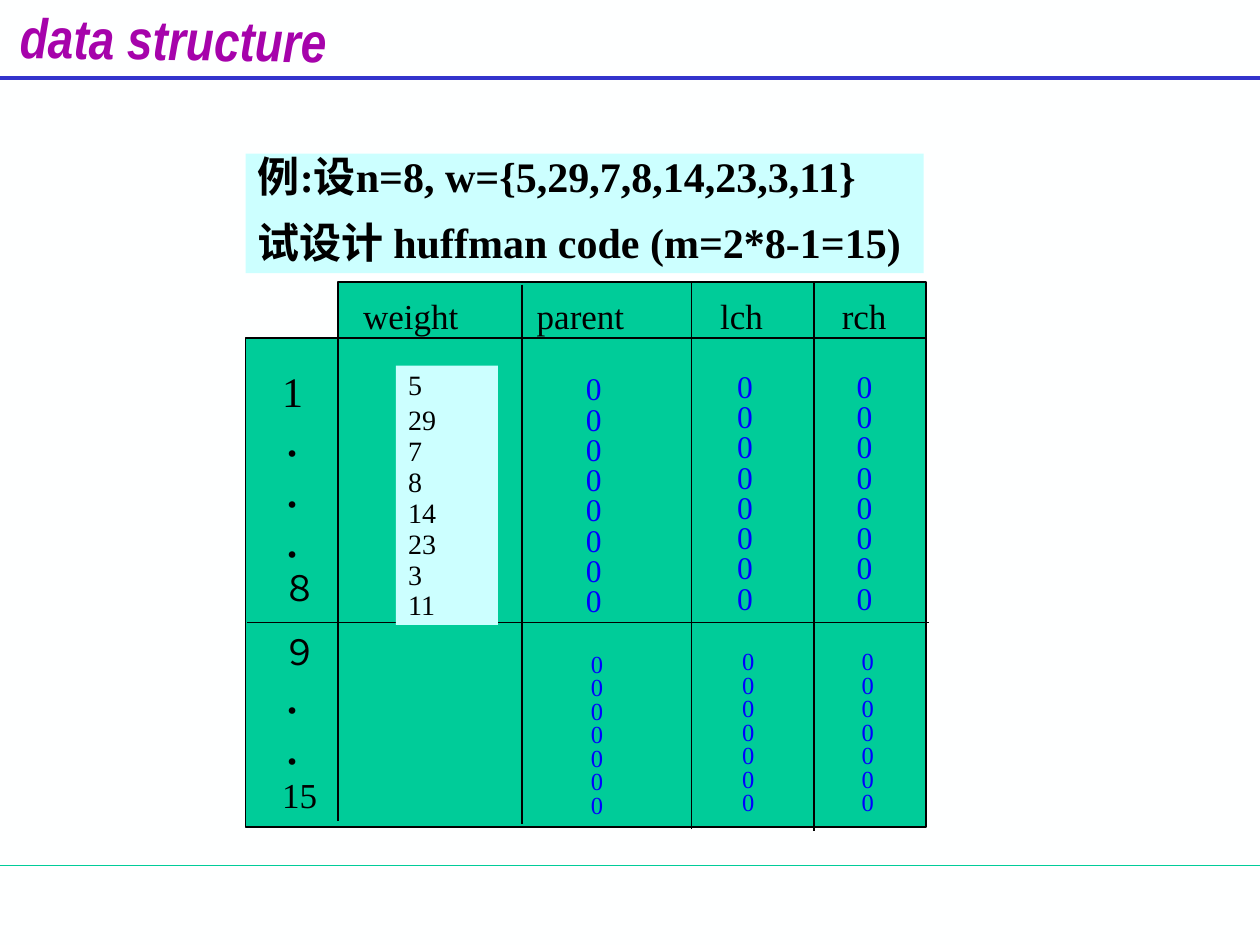
from lxml import etree
from pptx import Presentation
from pptx.dml.color import RGBColor
from pptx.enum.shapes import MSO_CONNECTOR, MSO_SHAPE
from pptx.enum.text import MSO_ANCHOR, MSO_AUTO_SIZE, PP_ALIGN
from pptx.oxml.ns import qn
from pptx.util import Cm, Pt

RECT, LINE = MSO_SHAPE.RECTANGLE, MSO_CONNECTOR.STRAIGHT
TOP, LEFT, FIXED = MSO_ANCHOR.TOP, PP_ALIGN.LEFT, MSO_AUTO_SIZE.NONE
SERIF = "Times New Roman"
GREEN, PALE, BLACK, BLUE = "00CC99", "CCFFFF", "000000", "0000FF"


def color(code):
    return RGBColor.from_string(code)


def put(shape, paras, size=20, font=SERIF, ink=BLACK, bold=False, italic=False,
        gap=0, lead=1, first=None, wrap=True, tabs=()):
    """Fill a shape; a paragraph is a string or a list of (text, size) runs.

    A newline in a run becomes a line break.
    """
    frame = shape.text_frame
    frame.word_wrap = wrap
    frame.auto_size = FIXED
    frame.vertical_anchor = TOP
    for i, runs in enumerate(paras):
        para = frame.paragraphs[0] if i == 0 else frame.add_paragraph()
        para.alignment = LEFT
        para.line_spacing = first if first and i == 0 else lead
        para.space_before = Pt(gap if i else 0)
        if tabs:
            stops = etree.SubElement(para._p.get_or_add_pPr(), qn("a:tabLst"))
            for stop in tabs:
                etree.SubElement(stops, qn("a:tab"), pos=str(Cm(stop)), algn="l")
        for text, points in [(runs, size)] if isinstance(runs, str) else runs:
            for j, part in enumerate(text.split("\n")):
                if j:
                    para.add_line_break()
                if not part:
                    continue
                run = para.add_run()
                run.text = part
                run.font.name = font
                run.font.size = Pt(points)
                run.font.bold = bold
                run.font.italic = italic
                run.font.color.rgb = color(ink)


def place(shape, left, top, width, height):
    shape.left, shape.top = Cm(left), Cm(top)
    shape.width, shape.height = Cm(width), Cm(height)


def add_text(slide, box, paras, **style):
    shape = slide.shapes.add_textbox(*map(Cm, box))
    put(shape, paras, **style)
    return shape


def add_rect(slide, box, fill, edge=None):
    shape = slide.shapes.add_shape(RECT, *map(Cm, box))
    shape.shadow.inherit = False
    shape.fill.solid()
    shape.fill.fore_color.rgb = color(fill)
    if edge:
        shape.line.color.rgb = color(edge)
        shape.line.width = Pt(1)
    else:
        shape.line.fill.background()
    return shape


def add_line(slide, ends, ink=BLACK, width=1):
    line = slide.shapes.add_connector(LINE, *map(Cm, ends))
    line.line.color.rgb = color(ink)
    line.line.width = Pt(width)
    etree.SubElement(line._element.spPr, qn("a:effectLst"))


def add_title(slide):
    title = slide.shapes.title
    place(title, 0.15, -0.03, 7.2, 1.37)
    title.rotation = 0.8
    put(title, ["data structure"], size=32, font="Arial Narrow", ink="A603AB",
        bold=True, italic=True, wrap=False)


def add_grid(slide):
    add_rect(slide, (6.81, 5.69, 11.86, 1.12), GREEN, BLACK)
    add_rect(slide, (4.95, 6.81, 13.72, 9.86), GREEN, BLACK)
    for x, top, end in ((6.81, 6.71, 16.56), (10.52, 5.74, 16.61),
                        (13.94, 5.69, 16.71), (16.41, 5.69, 16.76)):
        add_line(slide, (x, top, x, end))
    add_line(slide, (4.98, 12.55, 18.72, 12.55))

    head = add_text(slide, (6.86, 5.81, 12.09, 1.1),
                    ["weight\tparent\tlch\trch"], tabs=(3.5, 7.2, 9.65))
    head.text_frame.margin_left = Cm(0.46)
    add_text(slide, (5.44, 7.24, 1.42, 7.32),
             [[("1\n．\n．\n．\n", 24), ("８", 20)],
              [("９\n", 20), ("．\n．\n", 24), ("15", 20)]], gap=12.5)


def add_zeros(slide, left, top):
    """Add one column: eight large zeros, then seven small, one to a line."""
    for box, count, size in (((left, top, 1.17, 5.13), 8, 18),
                             ((left + 0.1, top + 5.6, 1.04, 3.58), 7, 14)):
        add_text(slide, box, [" ".join("0" * count)], size=size, ink=BLUE, lead=0.8)


def main():
    deck = Presentation()
    deck.slide_width, deck.slide_height = Cm(25.4), Cm(19.05)
    slide = deck.slides.add_slide(deck.slide_layouts[5])
    slide.background.fill.solid()
    slide.background.fill.fore_color.rgb = color("FEFFFF")

    add_line(slide, (0, 17.45, 25.4, 17.45), GREEN, 0.75)
    add_line(slide, (0, 1.57, 25.4, 1.57), "3333CC", 2.25)
    add_title(slide)
    add_grid(slide)

    weights = add_rect(slide, (7.98, 7.37, 2.06, 5.23), PALE)
    put(weights, ["5", "29", "7", "8", "14", "23", "3", "11"],
        size=16, gap=10, lead=0.4, first=0.9)
    task = add_rect(slide, (4.95, 3.1, 13.67, 2.41), PALE)
    put(task, ["例:设n=8, w={5,29,7,8,14,23,3,11}",
               "试设计 huffman code (m=2*8-1=15)"],
        size=24, bold=True, gap=15, lead=0.8)
    for left, top in ((11.56, 7.47), (14.61, 7.42), (17.02, 7.42)):
        add_zeros(slide, left, top)
    deck.save("out.pptx")


if __name__ == "__main__":
    main()
